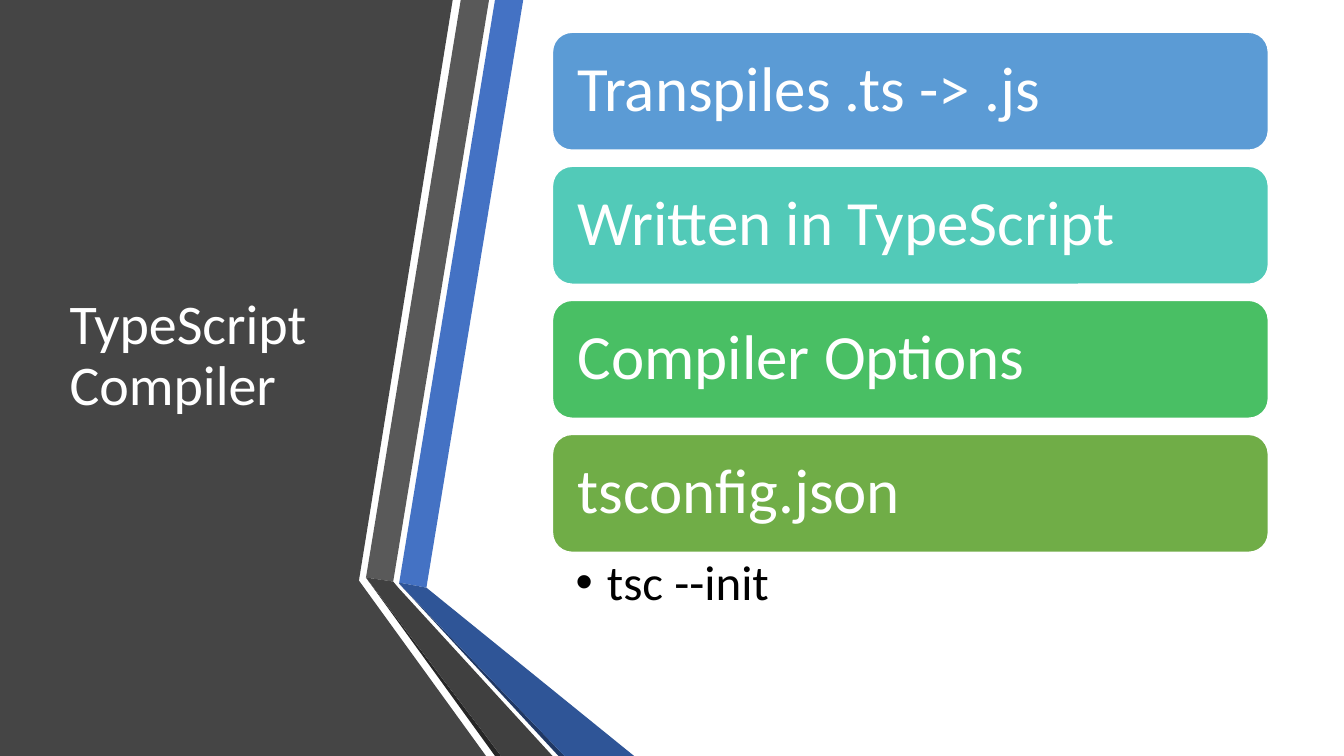
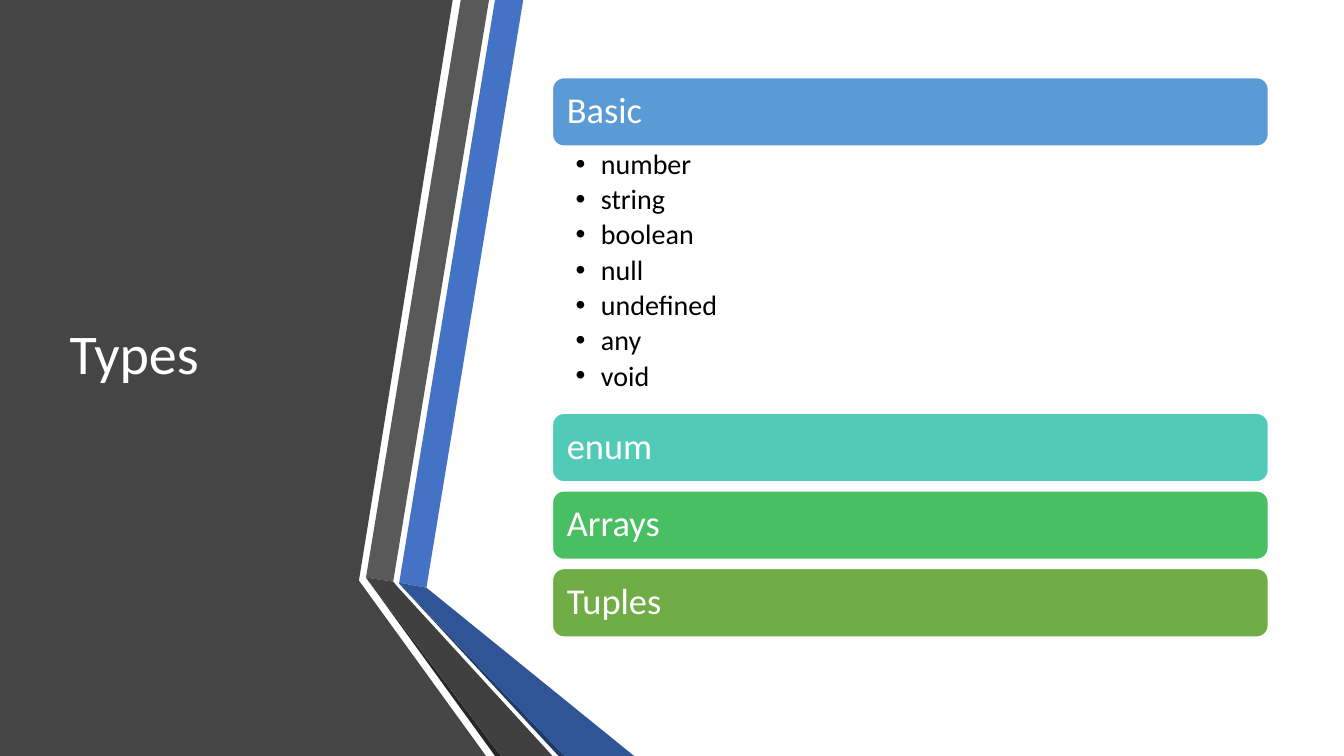
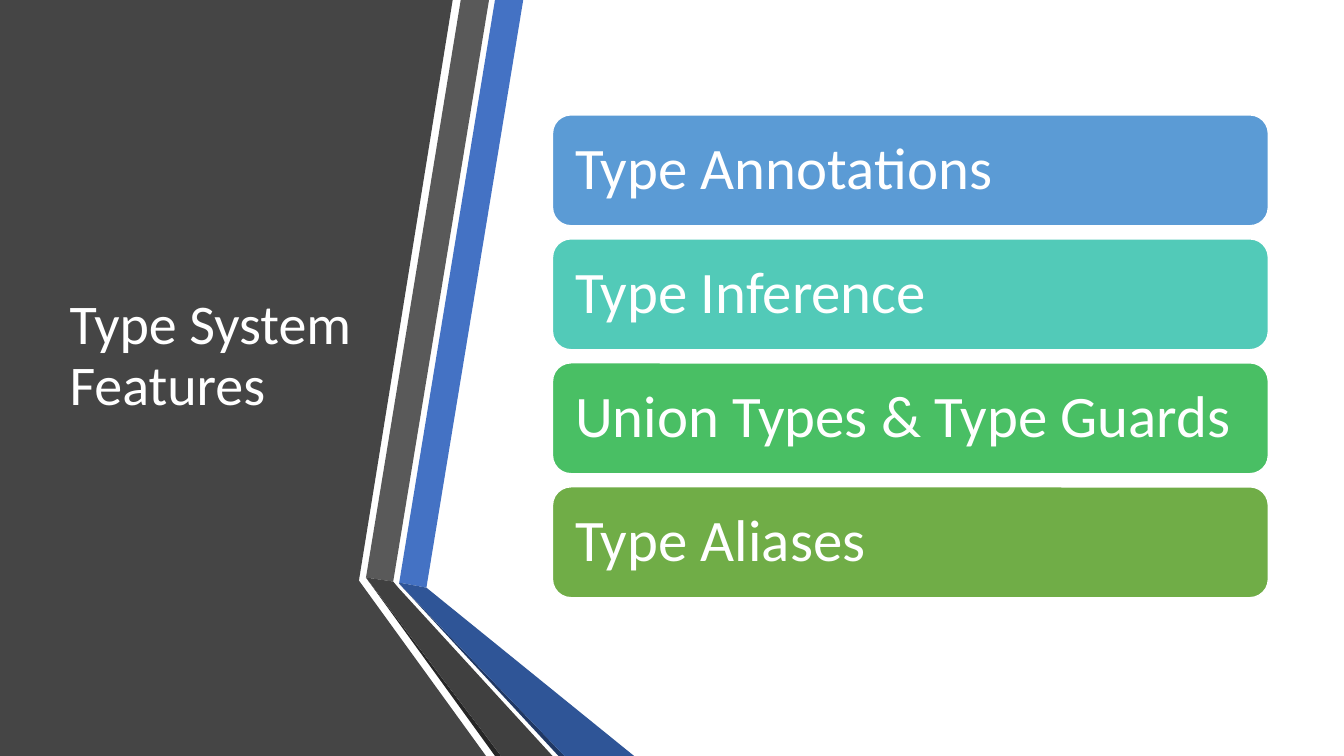
from dataclasses import dataclass

from lxml.etree import SubElement
from pptx import Presentation
from pptx.dml.color import RGBColor
from pptx.enum.shapes import MSO_SHAPE
from pptx.enum.text import MSO_ANCHOR, MSO_AUTO_SIZE, PP_ALIGN
from pptx.oxml.ns import qn
from pptx.util import Inches, Pt

FONT = "Calibri"
WHITE = RGBColor(0xFF, 0xFF, 0xFF)
BLACK = RGBColor(0x00, 0x00, 0x00)
CHARCOAL = RGBColor(0x45, 0x45, 0x45)
GRAY = RGBColor(0x59, 0x59, 0x59)
DARK_GRAY = RGBColor(0x40, 0x40, 0x40)
NEAR_BLACK = RGBColor(0x26, 0x26, 0x26)
BLUE = RGBColor(0x44, 0x72, 0xC4)
DARK_BLUE = RGBColor(0x2F, 0x55, 0x97)
NAVY = RGBColor(0x20, 0x38, 0x64)
CARD_COLORS = (
    RGBColor(0x5B, 0x9B, 0xD5),
    RGBColor(0x52, 0xCA, 0xB8),
    RGBColor(0x49, 0xBF, 0x64),
    RGBColor(0x70, 0xAD, 0x47),
)

CARD_LEFT = 5.48
CARD_WIDTH = 7.1
LINE_SPACING = 0.9


@dataclass(frozen=True)
class Band:
    color: RGBColor
    points: tuple[tuple[float, float], ...]


@dataclass(frozen=True)
class BulletStyle:
    size: float
    height: float
    indent: float
    margin: float


@dataclass(frozen=True)
class Card:
    text: str
    bullets: tuple[str, ...] = ()


@dataclass(frozen=True)
class Topic:
    title: str
    cards: tuple[Card, ...]
    top: float
    card_height: float
    gap: float
    inset: float
    size: float
    bullet_style: BulletStyle | None = None


BANDS = (
    Band(CHARCOAL, ((0, 0), (4.49, 0), (3.56, 5.76), (4.82, 7.5), (0, 7.5))),
    Band(BLUE, ((3.96, 5.78), (4.23, 5.83), (5.19, 0), (4.91, 0))),
    Band(GRAY, ((4.85, 0), (4.57, 0), (3.63, 5.73), (3.9, 5.77))),
    Band(NEAR_BLACK, ((3.63, 5.73), (4.91, 7.5), (4.97, 7.5))),
    Band(NAVY, ((3.96, 5.79), (5.54, 7.5), (5.6, 7.5))),
    Band(DARK_BLUE, ((3.96, 5.79), (5.6, 7.5), (6.29, 7.5), (4.23, 5.83), (3.96, 5.78))),
    Band(DARK_GRAY, ((5.48, 7.5), (3.95, 5.83), (3.9, 5.77), (3.63, 5.73), (4.97, 7.5))),
)

TOPICS = (
    Topic(
        "TypeScript Compiler",
        (
            Card("Transpiles .ts -> .js"),
            Card("Written in TypeScript"),
            Card("Compiler Options"),
            Card("tsconfig.json", ("tsc --init",)),
        ),
        top=0.32, card_height=1.17, gap=0.16, inset=0.19, size=45,
        bullet_style=BulletStyle(size=35, height=0.81, indent=0.31, margin=0.06),
    ),
    Topic(
        "Types",
        (
            Card("Basic", ("number", "string", "boolean", "null", "undefined", "any", "void")),
            Card("enum"),
            Card("Arrays"),
            Card("Tuples"),
        ),
        top=0.77, card_height=0.68, gap=0.09, inset=0.11, size=26,
        bullet_style=BulletStyle(size=20, height=2.65, indent=0.25, margin=0.04),
    ),
    Topic(
        "Type System Features",
        (
            Card("Type Annotations"),
            Card("Type Inference"),
            Card("Union Types & Type Guards"),
            Card("Type Aliases"),
        ),
        top=1.14, card_height=1.1, gap=0.13, inset=0.17, size=42,
    ),
)


def place(shape, left: float, top: float, width: float, height: float) -> None:
    shape.left, shape.top = Inches(left), Inches(top)
    shape.width, shape.height = Inches(width), Inches(height)


def set_margins(text_frame, horizontal: float, vertical: float) -> None:
    text_frame.margin_left = text_frame.margin_right = Inches(horizontal)
    text_frame.margin_top = text_frame.margin_bottom = Inches(vertical)


def format_text(text_frame, size: float, color: RGBColor, anchor: MSO_ANCHOR,
                space_after: float = 0) -> None:
    text_frame.word_wrap = True
    text_frame.auto_size = MSO_AUTO_SIZE.NONE
    text_frame.vertical_anchor = anchor
    for paragraph in text_frame.paragraphs:
        paragraph.alignment = PP_ALIGN.LEFT
        paragraph.line_spacing = LINE_SPACING
        paragraph.space_before = Pt(0)
        paragraph.space_after = Pt(space_after)
        for run in paragraph.runs:
            run.font.name = FONT
            run.font.size = Pt(size)
            run.font.color.rgb = color


def add_bands_to_master(master, slide) -> None:
    """Build the bands on a slide, then move them behind the master's placeholders."""
    for index, band in enumerate(BANDS):
        points = [(Inches(x), Inches(y)) for x, y in band.points]
        builder = slide.shapes.build_freeform(*points[0])
        builder.add_line_segments(points[1:], close=True)
        shape = builder.convert_to_shape()
        shape.shadow.inherit = False
        shape.fill.solid()
        shape.fill.fore_color.rgb = band.color
        shape.line.fill.background()
        shape.element.nvSpPr.cNvPr.set("id", str(100 + index))
        master.shapes.element.insert(2 + index, shape.element)


def set_title(slide, text: str) -> None:
    title = slide.shapes.title
    place(title, 0.59, 0.75, 3.04, 5.58)
    title.text_frame.text = text
    format_text(title.text_frame, 40, WHITE, MSO_ANCHOR.MIDDLE, space_after=6)


def add_card(slide, text: str, color: RGBColor, top: float, topic: Topic) -> None:
    shape = slide.shapes.add_shape(
        MSO_SHAPE.ROUNDED_RECTANGLE, Inches(CARD_LEFT), Inches(top),
        Inches(CARD_WIDTH), Inches(topic.card_height))
    shape.shadow.inherit = False
    shape.fill.solid()
    shape.fill.fore_color.rgb = color
    shape.line.color.rgb = WHITE
    shape.line.width = Pt(1)
    shape.text_frame.text = text
    set_margins(shape.text_frame, topic.inset, topic.inset)
    format_text(shape.text_frame, topic.size, WHITE, MSO_ANCHOR.MIDDLE)


def fill_bullets(body, bullets: tuple[str, ...], top: float, style: BulletStyle) -> None:
    place(body, CARD_LEFT, top, CARD_WIDTH, style.height)
    text_frame = body.text_frame
    text_frame.text = "\n".join(bullets)
    set_margins(text_frame, 0.23, style.margin)
    for paragraph in text_frame.paragraphs:
        paragraph.level = 1
        properties = paragraph._p.get_or_add_pPr()
        properties.set("marL", str(Inches(style.indent)))
        properties.set("indent", str(-Inches(style.indent)))
        SubElement(properties, qn("a:buChar")).set("char", "•")
    format_text(text_frame, style.size, BLACK, MSO_ANCHOR.TOP, space_after=3.6)


def add_topic(presentation, topic: Topic):
    layout_name = "Title and Content" if topic.bullet_style else "Title Only"
    slide = presentation.slides.add_slide(presentation.slide_layouts.get_by_name(layout_name))
    set_title(slide, topic.title)
    top = topic.top
    for card, color in zip(topic.cards, CARD_COLORS):
        add_card(slide, card.text, color, top, topic)
        top += topic.card_height
        if card.bullets:
            fill_bullets(slide.placeholders[1], card.bullets, top, topic.bullet_style)
            top += topic.bullet_style.height
        else:
            top += topic.gap
    return slide


def main() -> None:
    presentation = Presentation()
    presentation.slide_width = Inches(13.33)
    presentation.slide_height = Inches(7.5)
    slides = [add_topic(presentation, topic) for topic in TOPICS]
    add_bands_to_master(presentation.slide_master, slides[0])
    presentation.save("out.pptx")


if __name__ == "__main__":
    main()
